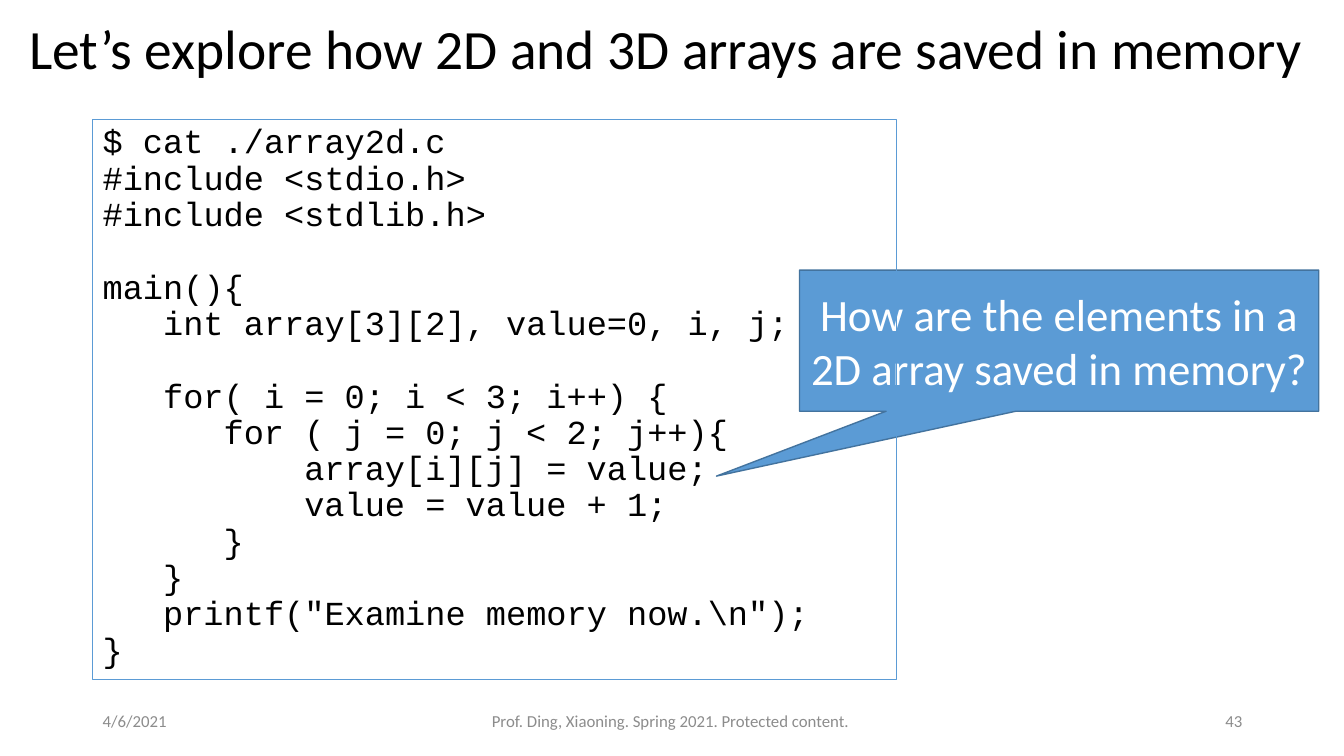
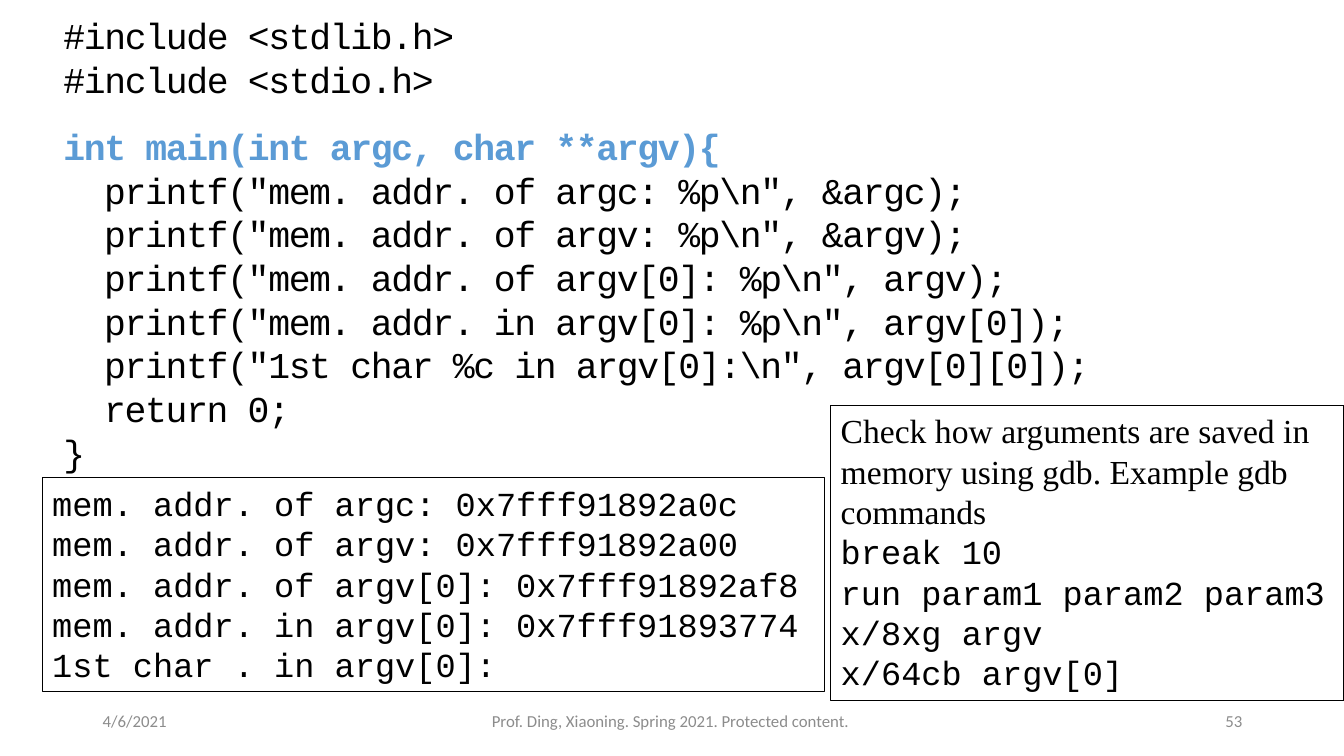
from dataclasses import dataclass, replace

from pptx import Presentation
from pptx import util as u
from pptx.dml.color import RGBColor
from pptx.enum import shapes, text

SCALE = 9144  # EMU in one px


@dataclass(frozen=True)
class Style:
    """Format of one kind of text."""
    font: str
    size: float
    color: str
    align: str = "LEFT"
    leading: float = 1.0
    tracking: int = 0
    bold: bool = False

    @property
    def pitch(self):
        """Width in points of one monospaced character."""
        return 0.6 * self.size + self.tracking


class Theme:
    """Colours and type sizes of the deck."""
    INK, BLUE, EDGE, GREY, WHITE = "000000", "5B9BD5", "43739E", "8C8C8C", "FFFFFF"
    TITLE = Style("Calibri", 39.6, INK, leading=0.9)
    FOOTER = Style("Calibri", 12, GREY)
    CALLOUT = Style("Calibri", 32, WHITE, align="CENTER")
    PROSE = Style("Times New Roman", 24, INK)
    CODE = Style("Courier New", 24, INK)
    DENSE_CODE = replace(CODE, leading=0.9)
    LARGE_CODE = replace(CODE, size=26, tracking=-1)
    MAIN_LINE = replace(LARGE_CODE, color=BLUE, bold=True)


def assign(target, values):
    """Set each named attribute of the target."""
    for name, value in values.items():
        setattr(target, name, value)


class SlideBuilder:
    """Holds the deck and the current page and draws its elements."""

    def __init__(self):
        """Start an empty wide deck."""
        self.deck = Presentation()
        assign(self.deck, {"slide_width": 1333 * SCALE, "slide_height": 750 * SCALE})
        self.page = None

    def start_page(self, number):
        """Add a blank page with its footer."""
        self.page = self.deck.slides.add_slide(self.deck.slide_layouts[6])
        footer = (
            (92, 300, "LEFT", "4/6/2021"),
            (442, 450, "CENTER", "Prof. Ding, Xiaoning. Spring 2021. Protected content. "),
            (942, 300, "RIGHT", str(number)),
        )
        for left, width, align, words in footer:
            style = replace(Theme.FOOTER, align=align)
            self.label((left, 695, width, 40), words, style)

    def label(self, at, words, style):
        """Draw one vertically centred line of text."""
        box = self.text_box(at, "MIDDLE")
        self.paragraph(box, words, style)

    def text_box(self, at, anchor="TOP"):
        """Draw an empty wrapping text box."""
        box = self.page.shapes.add_textbox(*(SCALE * n for n in at))
        self.set_frame(box, anchor)
        return box

    def shape(self, kind, at, line, weight, fill=None, anchor="TOP"):
        """Draw a preset shape with an outline and an optional fill."""
        box = self.page.shapes.add_shape(kind, *(SCALE * n for n in at))
        box.shadow.inherit = False
        if fill:
            box.fill.solid()
            box.fill.fore_color.rgb = RGBColor.from_string(fill)
        else:
            box.fill.background()
        box.line.color.rgb = RGBColor.from_string(line)
        box.line.width = u.Pt(weight)
        self.set_frame(box, anchor)
        return box

    def frame(self, at, line=Theme.INK):
        """Draw an unfilled outlined rectangle."""
        return self.shape(shapes.MSO_SHAPE.RECTANGLE, at, line, 0.75)

    def callout(self, at, words, tip):
        """Draw a filled speech callout pointing to the tip."""
        kind = shapes.MSO_SHAPE.RECTANGULAR_CALLOUT
        box = self.shape(kind, at, Theme.EDGE, 1, Theme.BLUE, "MIDDLE")
        for index, offset in enumerate(tip):
            box.adjustments[index] = offset
        self.paragraph(box, words, Theme.CALLOUT)

    def set_frame(self, box, anchor):
        """Make the text wrap and sit at the anchor."""
        assign(box.text_frame, {
            "word_wrap": True,
            "vertical_anchor": text.MSO_ANCHOR[anchor],
        })

    def paragraph(self, box, words, style, indent=0, before=0):
        """Append a paragraph, filling the first one if it is empty."""
        frame = box.text_frame
        para = frame.paragraphs[0] if not frame.text else frame.add_paragraph()
        assign(para, {
            "alignment": text.PP_ALIGN[style.align],
            "line_spacing": style.leading,
            "space_before": u.Pt(before),
        })
        if indent:
            para._p.get_or_add_pPr().set("marL", str(u.Pt(indent * style.pitch)))
        span = para.add_run()
        span.text = words
        assign(span.font, {"name": style.font, "size": u.Pt(style.size), "bold": style.bold})
        span.font.color.rgb = RGBColor.from_string(style.color)
        if style.tracking:
            span.font._element.set("spc", str(100 * style.tracking))

    def code(self, box, listing, style, gap=0):
        """Append code lines, turning leading spaces to indents and blanks to gaps."""
        before = 0
        for line in listing.strip("\n").split("\n"):
            words = line.lstrip()
            if words:
                self.paragraph(box, words, style, len(line) - len(words), before)
            before = 0 if words else gap


ARRAY_CODE = r"""
$ cat ./array2d.c
#include <stdio.h>
#include <stdlib.h>

main(){
   int array[3][2], value=0, i, j;

   for( i = 0; i < 3; i++) {
      for ( j = 0; j < 2; j++){
          array[i][j] = value;
          value = value + 1;
      }
   }
   printf("Examine memory now.\n");
}
"""

INCLUDES = """
#include <stdlib.h>
#include <stdio.h>
"""

MAIN_BODY = r"""
  printf("mem. addr. of argc: %p\n", &argc);
  printf("mem. addr. of argv: %p\n", &argv);
  printf("mem. addr. of argv[0]: %p\n", argv);
  printf("mem. addr. in argv[0]: %p\n", argv[0]);
  printf("1st char %c in argv[0]:\n", argv[0][0]);
  return 0;
}
"""

PROGRAM_OUTPUT = """
mem. addr. of argc: 0x7fff91892a0c
mem. addr. of argv: 0x7fff91892a00
mem. addr. of argv[0]: 0x7fff91892af8
mem. addr. in argv[0]: 0x7fff91893774
1st char . in argv[0]:
"""

GDB_COMMANDS = """
break 10
run param1 param2 param3
x/8xg argv
x/64cb argv[0]
"""


def array_page(builder):
    """Build the page on arrays in memory."""
    builder.start_page(43)
    builder.callout((793, 268, 515, 140),
                    "How are the elements in a 2D array saved in memory?", (-0.66, 0.96))
    builder.label((19, 2, 1296, 98),
                  "Let’s explore how 2D and 3D arrays are saved in memory", Theme.TITLE)
    box = builder.frame((92, 119, 797, 555), Theme.BLUE)
    builder.code(box, ARRAY_CODE, Theme.DENSE_CODE, gap=26)


def arguments_page(builder):
    """Build the page on program arguments in memory."""
    builder.start_page(53)
    source = builder.text_box((53, 8, 1252, 465))
    builder.code(source, INCLUDES, Theme.LARGE_CODE)
    builder.paragraph(source, "int main(int argc, char **argv){", Theme.MAIN_LINE, before=17)
    builder.code(source, MAIN_BODY, Theme.LARGE_CODE)

    output = builder.frame((42, 474, 776, 212))
    builder.code(output, PROGRAM_OUTPUT, Theme.CODE)

    task = builder.frame((824, 402, 509, 293))
    builder.paragraph(
        task, "Check how arguments are saved in memory using gdb. Example gdb commands",
        Theme.PROSE)
    builder.code(task, GDB_COMMANDS, Theme.CODE)


def main():
    """Build and save the deck."""
    builder = SlideBuilder()
    array_page(builder)
    arguments_page(builder)
    builder.deck.save("out.pptx")


if __name__ == "__main__":
    main()
